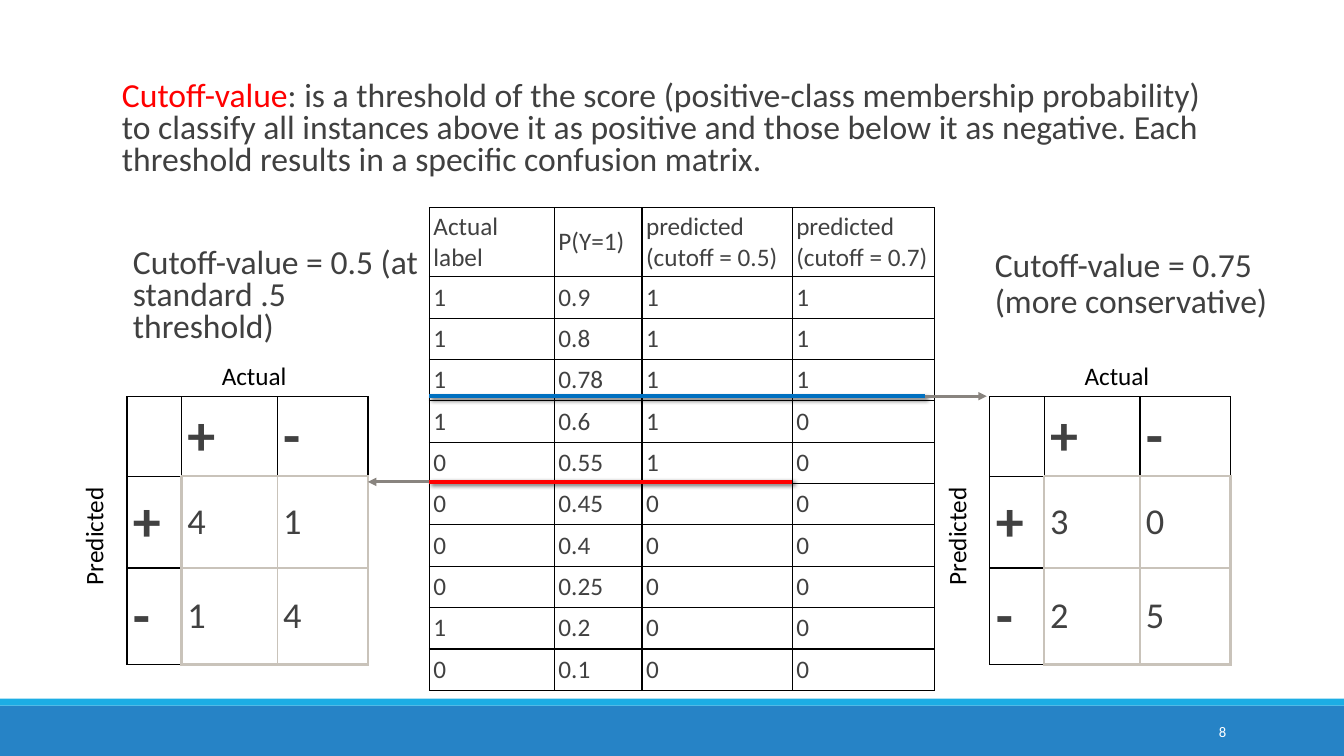
from lxml.etree import SubElement
from pptx import Presentation
from pptx.dml.color import RGBColor
from pptx.enum.shapes import MSO_CONNECTOR, MSO_SHAPE
from pptx.enum.text import MSO_ANCHOR, PP_ALIGN
from pptx.oxml import parse_xml
from pptx.oxml.ns import nsdecls, qn
from pptx.util import Pt

BLACK, GREY, DARK, BODY = "000000", "C9C3BA", "414141", "404040"
RED, BLUE, ARROW, WHITE = "FF0000", "0070C0", "89847F", "FFFFFF"


def rgb(code):
    return RGBColor.from_string(code)


def write(frame, runs, size, bold=False):
    """Add (text, colour) runs to the first paragraph; a newline is a line break."""
    para = frame.paragraphs[0]
    for text, color in runs:
        for n, part in enumerate(text.split("\n")):
            if n:
                para.add_line_break()
            run = para.add_run()
            run.text = part
            run.font.name = "Calibri"
            run.font.size = Pt(size)
            run.font.bold = bold
            run.font.color.rgb = rgb(color)
    return para


deck = Presentation()
deck.slide_width, deck.slide_height = Pt(960), Pt(540)
slide = deck.slides.add_slide(deck.slide_layouts[6])
shapes = slide.shapes

# Footer
for top, height, color in [(504, 36, "2683C6"), (499, 5, "1CADE4")]:
    bar = shapes.add_shape(MSO_SHAPE.RECTANGLE, 0, Pt(top), Pt(960), Pt(height))
    bar.shadow.inherit = False
    bar.fill.solid()
    bar.fill.fore_color.rgb = rgb(color)
    bar.line.fill.background()

box = shapes.add_textbox(Pt(780), Pt(508.5), Pt(103), Pt(28.8))
box.text_frame.word_wrap = True
box.text_frame.vertical_anchor = MSO_ANCHOR.MIDDLE
write(box.text_frame, [("8", WHITE)], 10.5).alignment = PP_ALIGN.RIGHT

# Score table and the two confusion matrices
scores = [["Actual label", "P(Y=1)", "predicted\n(cutoff = 0.5)", "predicted\n(cutoff = 0.7)"]]
labels = "1111000010"
chances = ["0.9", "0.8", "0.78", "0.6", "0.55", "0.45", "0.4", "0.25", "0.2", "0.1"]
for n, (label, chance) in enumerate(zip(labels, chances)):
    scores.append([label, chance, "1" if n < 5 else "0", "1" if n < 3 else "0"])

wide, tall = [38.9, 68.4, 64.8], [56.9, 65.5, 69.1]
grids = [
    (306.7, 148.3, [89.3, 62.6, 107.3, 101.5], [49.4] + [29.55] * 10, scores, 2.9),
    (90.7, 283.3, wide, tall, [["", "+", "-"], ["+", "4", "1"], ["-", "1", "4"]], 4.3),
    (707, 283.3, wide, tall, [["", "+", "-"], ["+", "3", "0"], ["-", "2", "5"]], 4.3),
]
sides = [("L", 0, -1), ("R", 0, 1), ("T", -1, 0), ("B", 1, 0)]

for left, top, cols, rows, values, inset in grids:
    matrix = values is not scores
    table = shapes.add_table(len(rows), len(cols), Pt(left), Pt(top),
                             Pt(sum(cols)), Pt(sum(rows))).table
    table.first_row = table.horz_banding = False
    for col, width in zip(table.columns, cols):
        col.width = Pt(width)
    for row, height in zip(table.rows, rows):
        row.height = Pt(height)
    for i, line in enumerate(values):
        for j, text in enumerate(line):
            cell = table.cell(i, j)
            cell.vertical_anchor = MSO_ANCHOR.MIDDLE
            cell.margin_left = cell.margin_right = Pt(inset)
            cell.margin_top = cell.margin_bottom = Pt(inset)
            here = matrix and i > 0 and j > 0
            sign = text in ("+", "-")
            if text:
                size = 40 if sign else 26 if matrix else 18
                write(cell.text_frame, [(text, DARK)], size, sign)
            props = cell._tc.get_or_add_tcPr()
            for side, down, over in sides:
                # Counts stand in a grey frame: thick outside, thin inside
                there = matrix and 0 < i + down < 3 and 0 < j + over < 3
                width = 2 if here != there else 1
                edge = SubElement(props, qn("a:ln" + side), w=str(Pt(width)))
                fill = SubElement(edge, qn("a:solidFill"))
                SubElement(fill, qn("a:srgbClr"), val=GREY if here or there else BLACK)
            cell.fill.background()

# Cutoff lines and their arrows
shade = (f'<a:effectLst {nsdecls("a")}><a:outerShdw blurRad="{Pt(3)}" dist="{Pt(2)}" '
         'dir="2700000" rotWithShape="0"><a:srgbClr val="000000"><a:alpha val="60000"/>'
         '</a:srgbClr></a:outerShdw></a:effectLst>')
for start, end, y, color in [(306.7, 565.9, 344.2, RED), (306.7, 661, 283, BLUE),
                             (306.7, 262.8, 344.2, ARROW), (661, 704.9, 283, ARROW)]:
    rule = shapes.add_connector(MSO_CONNECTOR.STRAIGHT, Pt(start), Pt(y), Pt(end), Pt(y))
    rule.line.color.rgb = rgb(color)
    rule.line.width = Pt(2 if color == ARROW else 2.5)
    props = rule._element.spPr
    if color == ARROW:
        SubElement(rule.line._get_or_add_ln(), qn("a:tailEnd"), type="triangle")
        SubElement(props, qn("a:effectLst"))
    else:
        props.append(parse_xml(shade))

# Matrix axis names
for shift in (0, 616.3):
    for text, left, top, width, turn in [("Actual", 154.1, 253.4, 62, 0),
                                         ("Predicted", 24.7, 367.9, 84, 270)]:
        box = shapes.add_textbox(Pt(left + shift), Pt(top), Pt(width), Pt(30.2))
        box.rotation = turn
        frame = box.text_frame
        frame.word_wrap = True
        frame.vertical_anchor = MSO_ANCHOR.MIDDLE
        frame.margin_left = frame.margin_right = Pt(4.3)
        frame.margin_top = frame.margin_bottom = Pt(4.3)
        para = write(frame, [(text, BLACK)], 18)
        para.alignment = PP_ALIGN.CENTER if turn else PP_ALIGN.LEFT

# Definition and headings
intro = (": is a threshold of the score (positive-class membership probability) to classify "
         "all instances above it as positive and those below it as negative. Each threshold "
         "results in a specific confusion matrix.")
for left, top, width, space, runs in [
    (80.6, 173.9, 226.1, 0.8, [("Cutoff-value = 0.5 (at standard .5 threshold)", BODY)]),
    (696.2, 173.9, 226.1, 0.9, [("Cutoff-value = 0.75 (more conservative)", BODY)]),
    (72.7, 54.7, 810, 0.8, [("Cutoff-value", RED), (intro, BODY)]),
]:
    box = shapes.add_textbox(Pt(left), Pt(top), Pt(width), Pt(85))
    box.text_frame.word_wrap = True
    box.text_frame.margin_left = Pt(14.4)
    write(box.text_frame, runs, 24).line_spacing = space

deck.save("out.pptx")
